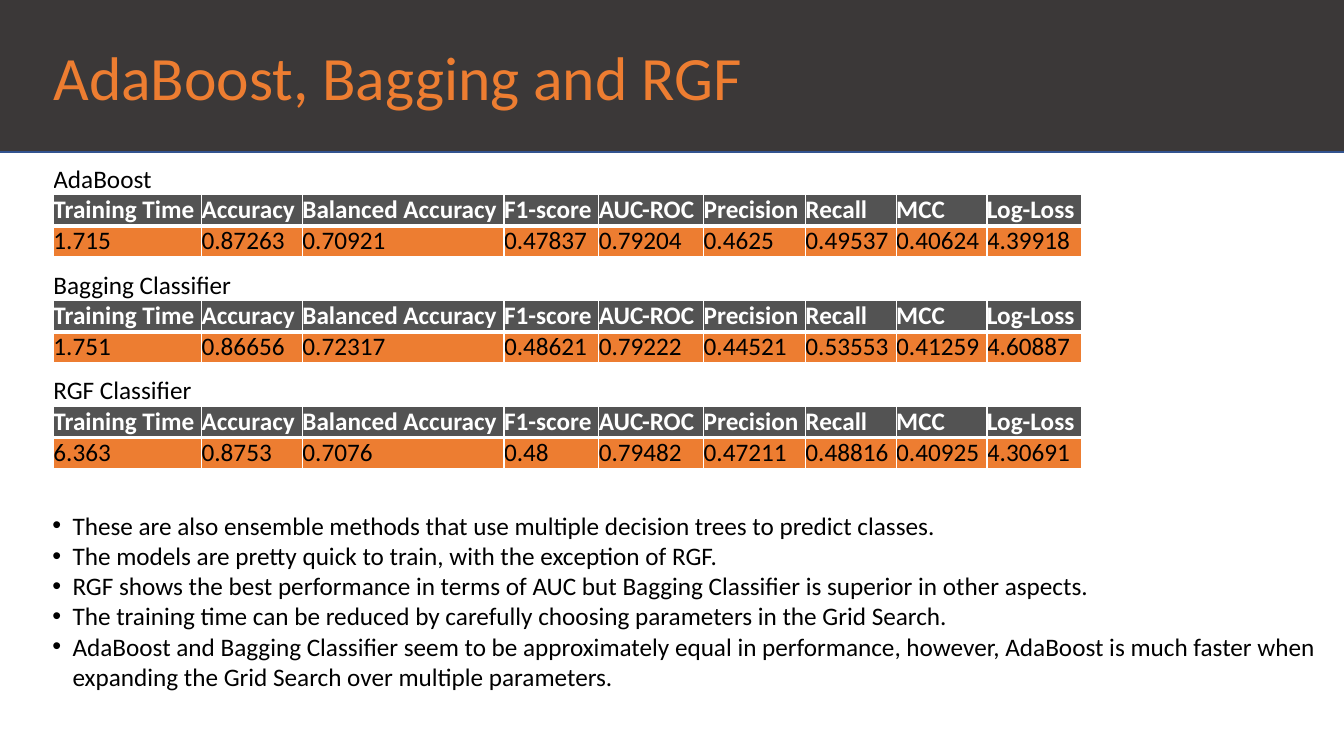
from dataclasses import dataclass

from lxml import etree
from pptx import Presentation
from pptx.dml.color import RGBColor
from pptx.enum.shapes import MSO_SHAPE
from pptx.enum.text import MSO_ANCHOR, MSO_AUTO_SIZE, PP_ALIGN
from pptx.oxml.ns import qn
from pptx.slide import Slide
from pptx.table import _Cell
from pptx.text.text import TextFrame
from pptx.util import Inches, Length, Pt

RECTANGLE = MSO_SHAPE.RECTANGLE
MIDDLE = MSO_ANCHOR.MIDDLE
NO_AUTOFIT = MSO_AUTO_SIZE.NONE
LEFT = PP_ALIGN.LEFT

ORANGE = RGBColor(0xED, 0x7D, 0x31)
CHARCOAL = RGBColor(0x3B, 0x38, 0x38)
HEADER_GRAY = RGBColor(0x53, 0x53, 0x53)
BAND_BLUE = RGBColor(0x32, 0x53, 0x8F)
BLACK = RGBColor(0, 0, 0)
WHITE = RGBColor(0xFF, 0xFF, 0xFF)

FONT = "Calibri"
BODY_SIZE = 18
SLIDE_WIDTH = Inches(13.33)
SLIDE_HEIGHT = Inches(7.5)
GRID_COLUMNS = 133.3
GRID_ROWS = 75

TABLE_LEFT = 5.3
TABLE_TOP = 16.3
TABLE_STEP = 10.5
COLUMN_WIDTHS = (14.7, 10, 20, 9.4, 10.4, 10.1, 9, 9, 9.4)
ROW_HEIGHTS = (2.6, 3.1, 3.1)
METRICS = (
    "Training Time", "Accuracy", "Balanced Accuracy", "F1-score", "AUC-ROC",
    "Precision", "Recall", "MCC", "Log-Loss",
)


@dataclass(frozen=True)
class ModelResult:
    name: str
    scores: tuple[str, ...]


@dataclass(frozen=True)
class RowStyle:
    color: RGBColor
    fill: RGBColor | None
    bold: bool
    top_border: int
    bottom_border: int


RESULTS = (
    ModelResult("AdaBoost", (
        "1.715", "0.87263", "0.70921", "0.47837", "0.79204",
        "0.4625", "0.49537", "0.40624", "4.39918",
    )),
    ModelResult("Bagging Classifier", (
        "1.751", "0.86656", "0.72317", "0.48621", "0.79222",
        "0.44521", "0.53553", "0.41259", "4.60887",
    )),
    ModelResult("RGF Classifier", (
        "6.363", "0.8753", "0.7076", "0.48", "0.79482",
        "0.47211", "0.48816", "0.40925", "4.30691",
    )),
)
ROW_STYLES = (
    RowStyle(BLACK, None, False, 1, 1),
    RowStyle(WHITE, HEADER_GRAY, True, 1, 3),
    RowStyle(BLACK, ORANGE, False, 3, 1),
)
FINDINGS = (
    "These are also ensemble methods that use multiple decision trees to predict classes.",
    "The models are pretty quick to train, with the exception of RGF.",
    "RGF shows the best performance in terms of AUC but Bagging Classifier is superior in other aspects.",
    "The training time can be reduced by carefully choosing parameters in the Grid Search.",
    "AdaBoost and Bagging Classifier seem to be approximately equal in performance, however, "
    "AdaBoost is much faster when expanding the Grid Search over multiple parameters.",
)


def across(columns: float) -> Length:
    return Length(round(SLIDE_WIDTH * columns / GRID_COLUMNS))


def down(rows: float) -> Length:
    return Length(round(SLIDE_HEIGHT * rows / GRID_ROWS))


def format_text(frame: TextFrame, size: int, color: RGBColor, bold: bool = False) -> None:
    for paragraph in frame.paragraphs:
        paragraph.alignment = LEFT
        for run in paragraph.runs:
            run.font.name = FONT
            run.font.size = Pt(size)
            run.font.bold = bold
            run.font.color.rgb = color


def set_margins(frame: TextFrame, margin: Length) -> None:
    frame.margin_left = frame.margin_right = margin
    frame.margin_top = frame.margin_bottom = margin


def add_title(slide: Slide) -> None:
    band = slide.shapes.add_shape(
        RECTANGLE, across(-0.1), down(-0.1), across(133.7), down(15.2))
    band.shadow.inherit = False
    band.fill.solid()
    band.fill.fore_color.rgb = CHARCOAL
    band.line.color.rgb = BAND_BLUE
    band.line.width = Pt(1)
    title = slide.shapes.title
    title.left, title.top = across(4.8), down(3.9)
    title.width, title.height = across(128), down(7.2)
    title._element.addprevious(band._element)
    frame = title.text_frame
    frame.text = "AdaBoost, Bagging and RGF"
    frame.auto_size = NO_AUTOFIT
    frame.vertical_anchor = MIDDLE
    set_margins(frame, Inches(0.05))
    format_text(frame, 44, ORANGE)


def add_borders(cell: _Cell, style: RowStyle) -> None:
    properties = cell._tc.get_or_add_tcPr()
    widths = {"L": 1, "R": 1, "T": style.top_border, "B": style.bottom_border}
    for side, width in widths.items():
        line = etree.SubElement(properties, qn(f"a:ln{side}"), w=str(Pt(width)))
        fill = etree.SubElement(line, qn("a:solidFill"))
        etree.SubElement(fill, qn("a:srgbClr"), val=str(WHITE))


def format_cell(cell: _Cell, text: str, style: RowStyle) -> None:
    cell.margin_left = cell.margin_right = 0
    cell.margin_top = cell.margin_bottom = 0
    add_borders(cell, style)
    if style.fill is None:
        cell.fill.background()
    else:
        cell.fill.solid()
        cell.fill.fore_color.rgb = style.fill
    cell.text_frame.text = text
    format_text(cell.text_frame, BODY_SIZE, style.color, style.bold)


def add_result_table(slide: Slide, result: ModelResult, top: float) -> None:
    table = slide.shapes.add_table(
        len(ROW_HEIGHTS), len(METRICS), across(TABLE_LEFT), down(top),
        across(sum(COLUMN_WIDTHS)), down(sum(ROW_HEIGHTS))).table
    table.first_row = False
    table.horz_banding = False
    for column, width in zip(table.columns, COLUMN_WIDTHS):
        column.width = across(width)
    for row, height in zip(table.rows, ROW_HEIGHTS):
        row.height = down(height)
    label = table.cell(0, 0)
    label.merge(table.cell(0, len(METRICS) - 1))
    format_cell(label, result.name, ROW_STYLES[0])
    for row_index, texts in enumerate((METRICS, result.scores), start=1):
        for column_index, text in enumerate(texts):
            format_cell(table.cell(row_index, column_index), text, ROW_STYLES[row_index])


def add_findings(slide: Slide) -> None:
    box = slide.shapes.add_textbox(across(4.7), down(50.1), across(128), down(19.6))
    frame = box.text_frame
    frame.word_wrap = True
    set_margins(frame, Inches(0.05))
    frame.text = "\n".join(FINDINGS)
    format_text(frame, BODY_SIZE, BLACK)
    for paragraph in frame.paragraphs:
        properties = paragraph._p.get_or_add_pPr()
        properties.set("marL", str(across(2)))
        properties.set("indent", str(-across(2)))
        etree.SubElement(properties, qn("a:buFont"), typeface="Arial")
        etree.SubElement(properties, qn("a:buChar"), char="•")


def main() -> None:
    presentation = Presentation()
    presentation.slide_width = SLIDE_WIDTH
    presentation.slide_height = SLIDE_HEIGHT
    slide = presentation.slides.add_slide(presentation.slide_layouts[5])
    add_title(slide)
    add_findings(slide)
    for index, result in enumerate(RESULTS):
        add_result_table(slide, result, TABLE_TOP + index * TABLE_STEP)
    presentation.save("out.pptx")


if __name__ == "__main__":
    main()
